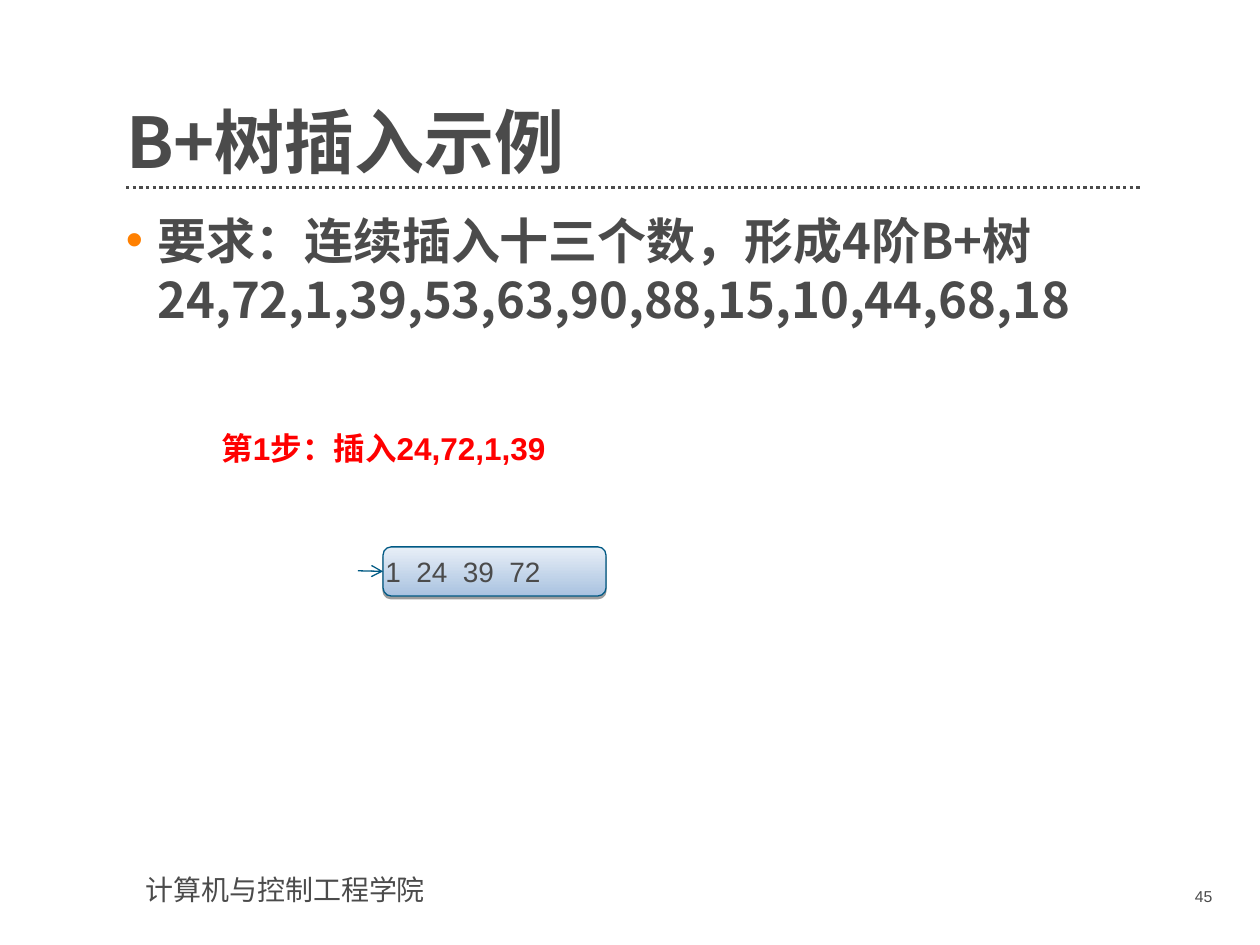
from dataclasses import dataclass

from lxml.etree import SubElement
from pptx import Presentation
from pptx.dml.color import RGBColor
from pptx.enum.dml import MSO_LINE
from pptx.enum.shapes import MSO_CONNECTOR, MSO_SHAPE
from pptx.enum.text import MSO_ANCHOR as Anchor, MSO_AUTO_SIZE as AutoSize, PP_ALIGN as Align
from pptx.oxml.ns import qn
from pptx.util import Inches, Pt

COLORS = {
    "text": "4B4B4B",
    "bullet": "FF8000",
    "step": "FF0000",
    "node_low": "A9C2E0",
    "node_high": "E8EFF7",
    "node_line": "005984",
    "arrow": "005A84",
    "shadow": "000000",
}
HEADING_FONT = "Noto Sans CJK SC"
BODY_FONT = "Arial"


@dataclass
class Label:
    text: str
    at: tuple[float, float, float, float]
    size: float
    font: str = BODY_FONT
    color: str = "text"
    bold: bool = False
    align: Align = Align.LEFT
    anchor: Anchor = Anchor.TOP
    insets: tuple[float, float, float, float] = (0.1, 0.05, 0.1, 0.05)
    bullet: bool = False


TITLE = Label("B+树插入示例", (1, 0.55, 8.06, 0.91), 40, HEADING_FONT, bold=True,
              anchor=Anchor.BOTTOM, insets=(0, 0, 0, 0))
NODE = Label("1  24  39  72", (3.04, 4.34, 1.77, 0.39), 16,
             anchor=Anchor.MIDDLE, insets=(0, 0, 0.2, 0))
LABELS = [
    Label("计算机与控制工程学院", (1.06, 6.88, 2.76, 0.37), 16),
    Label("要求：连续插入十三个数，形成4阶B+树24,72,1,39,53,63,90,88,15,10,44,68,18",
          (1, 1.67, 8.06, 5), 28, HEADING_FONT, bold=True,
          insets=(0, 0, 0.2, 0), bullet=True),
    Label("45", (8.73, 6.99, 0.99, 0.29), 9, align=Align.RIGHT),
    Label("第1步：插入24,72,1,39", (1.66, 3.36, 3.73, 0.4), 18, color="step", bold=True),
]


def rgb(name: str) -> RGBColor:
    return RGBColor.from_string(COLORS[name])


def add_bullet(para) -> None:
    props = para._p.get_or_add_pPr()
    props.set("marL", str(Inches(0.25)))
    props.set("indent", str(-Inches(0.25)))
    color = SubElement(props, qn("a:buClr"))
    SubElement(color, qn("a:srgbClr"), val=COLORS["bullet"])
    SubElement(props, qn("a:buFont"), typeface=BODY_FONT)
    SubElement(props, qn("a:buChar"), char="•")


def write(shape, label: Label) -> None:
    frame = shape.text_frame
    frame.word_wrap = True
    frame.auto_size = AutoSize.NONE
    frame.vertical_anchor = label.anchor
    (frame.margin_left, frame.margin_top,
     frame.margin_right, frame.margin_bottom) = map(Inches, label.insets)
    para = frame.paragraphs[0]
    if label.bullet:
        add_bullet(para)
    para.alignment = label.align
    span = para.add_run()
    span.text = label.text
    span.font.size = Pt(label.size)
    span.font.bold = label.bold
    span.font.name = label.font
    span.font.color.rgb = rgb(label.color)
    SubElement(span.font._element, qn("a:ea"), typeface=HEADING_FONT)


def add_title(slide, label: Label) -> None:
    title = slide.shapes.title
    title.left, title.top, title.width, title.height = map(Inches, label.at)
    write(title, label)
    title.text_frame.paragraphs[0].line_spacing = 0.9


def add_label(slide, label: Label) -> None:
    write(slide.shapes.add_textbox(*map(Inches, label.at)), label)


def add_line(slide, start: tuple[float, float], end: tuple[float, float],
             color: str, width: float):
    line = slide.shapes.add_connector(MSO_CONNECTOR.STRAIGHT, *map(Inches, start + end))
    line.line.color.rgb = rgb(color)
    line.line.width = Pt(width)
    SubElement(line._element.spPr, qn("a:effectLst"))
    return line


def add_node(slide, label: Label):
    node = slide.shapes.add_shape(MSO_SHAPE.ROUNDED_RECTANGLE, *map(Inches, label.at))
    node.adjustments[0] = 0.167
    node.fill.gradient()
    node.fill.gradient_angle = 90
    for stop, name in zip(node.fill.gradient_stops, ("node_low", "node_high")):
        stop.color.rgb = rgb(name)
    node.line.color.rgb = rgb("node_line")
    node.line.width = Pt(0.75)
    node.shadow.inherit = False
    effects = node._element.spPr.find(qn("a:effectLst"))
    shadow = SubElement(effects, qn("a:outerShdw"), blurRad="0", dist=str(Pt(1.6)),
                        dir="5400000", rotWithShape="0")
    color = SubElement(shadow, qn("a:srgbClr"), val=COLORS["shadow"])
    SubElement(color, qn("a:alpha"), val="38000")
    write(node, label)
    return node


def main() -> None:
    deck = Presentation()
    deck.slide_width, deck.slide_height = Inches(10), Inches(7.5)
    page = deck.slides.add_slide(deck.slide_layouts[5])
    rule = add_line(page, (1, 1.49), (9.06, 1.49), "text", 1.9)
    rule.line.dash_style = MSO_LINE.ROUND_DOT
    add_title(page, TITLE)
    for label in LABELS:
        add_label(page, label)
    node = add_node(page, NODE)
    arrow = add_line(page, (2.84, 4.53), (3.04, 4.54), "arrow", 0.75)
    arrow.end_connect(node, 1)
    SubElement(arrow.line._get_or_add_ln(), qn("a:tailEnd"), type="arrow")
    deck.save("out.pptx")


if __name__ == "__main__":
    main()
